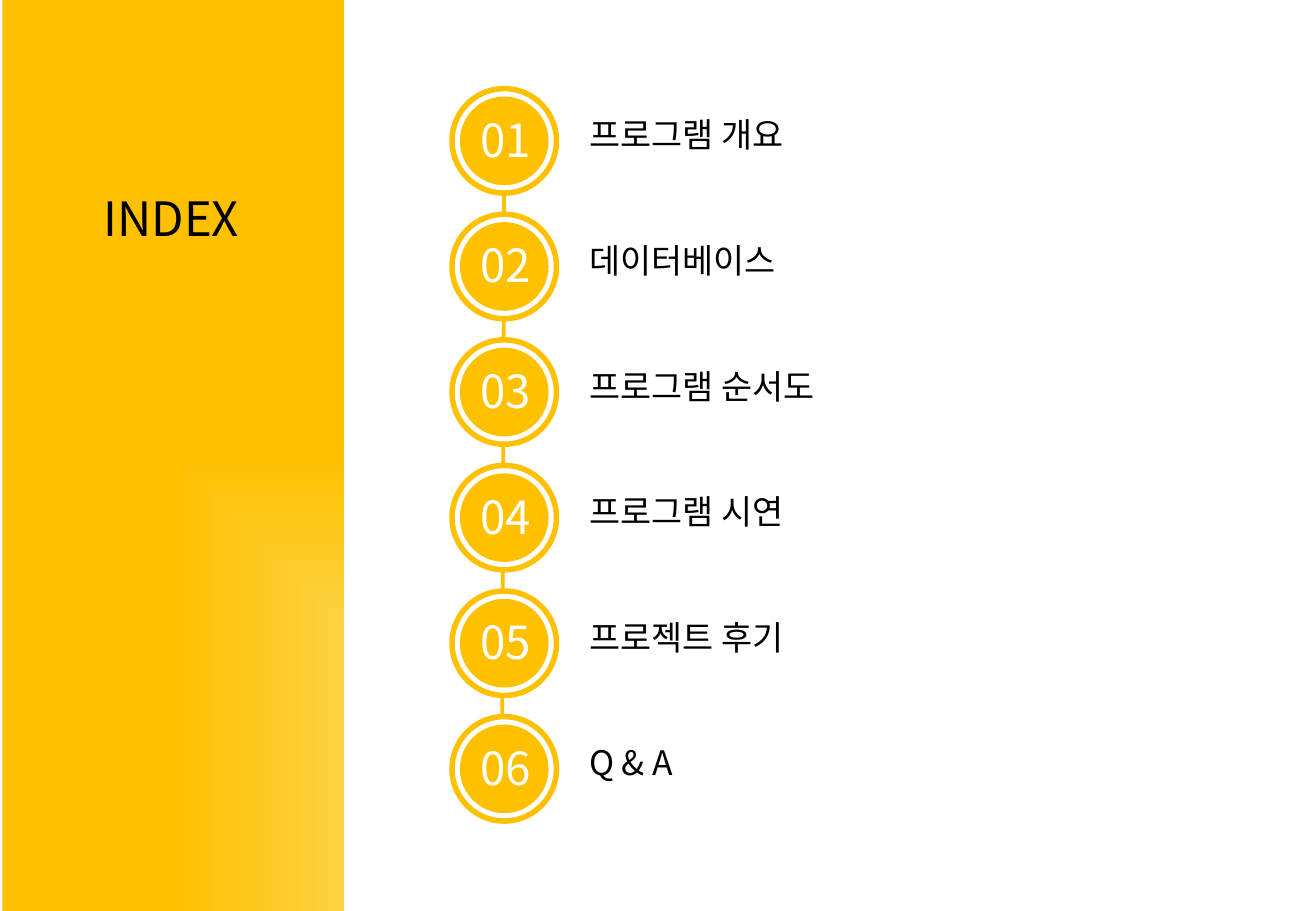
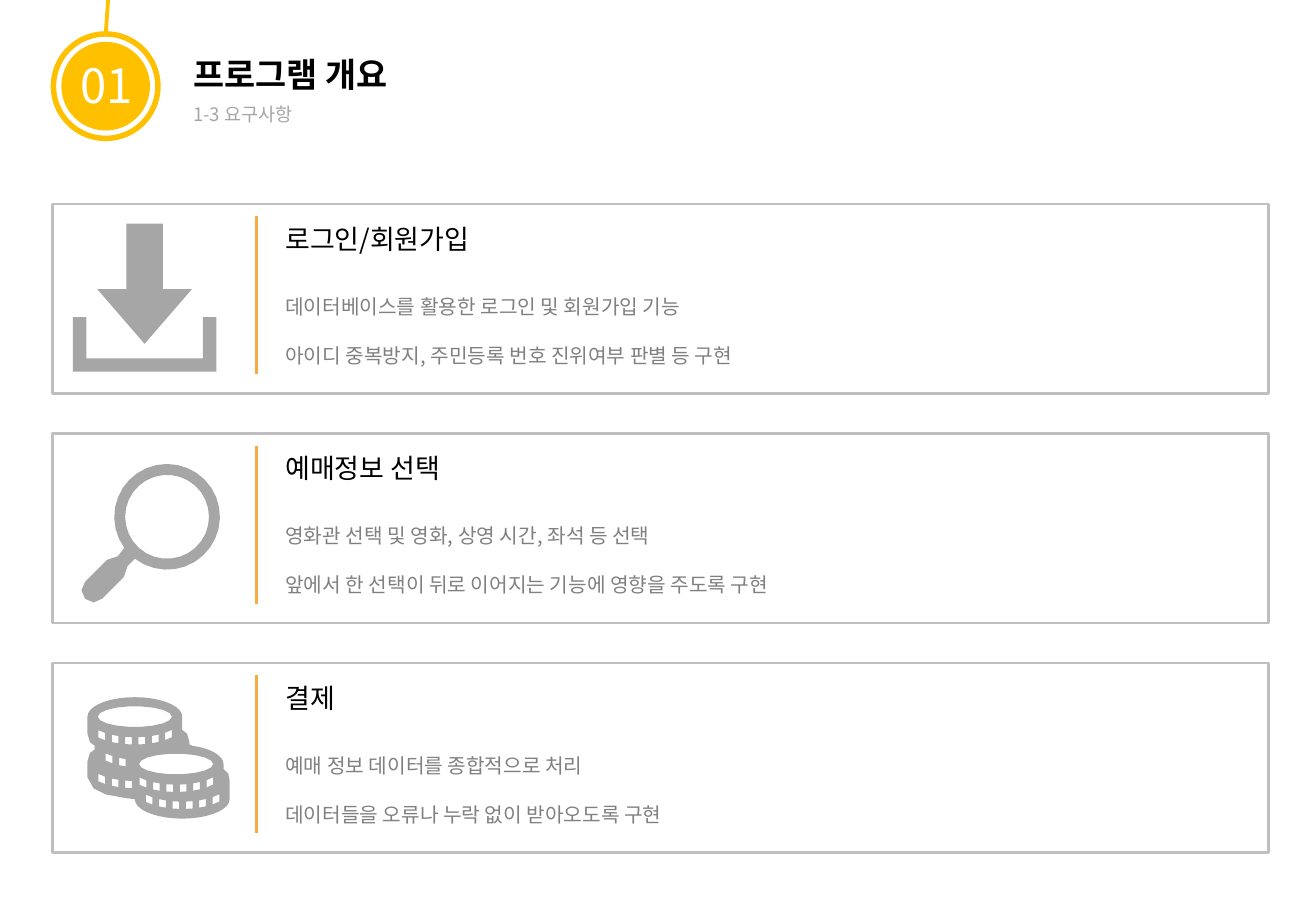
"""Builds an index slide and a requirements slide with python-pptx."""
import math
from dataclasses import dataclass

import pptx
import pptx.dml.color
import pptx.enum.shapes
import pptx.enum.text
import pptx.oxml
import pptx.oxml.ns
import pptx.util
from lxml import etree

SCALE = 9144
SHAPE = pptx.enum.shapes.MSO_SHAPE
ALIGN = pptx.enum.text.PP_ALIGN
ANCHOR = pptx.enum.text.MSO_ANCHOR
qn = pptx.oxml.ns.qn


@dataclass(frozen=True)
class Theme:
    font: str = "Noto Sans CJK KR"
    accent: str = "FFC000"
    accent_light: str = "FCD240"
    divider: str = "F9AB43"
    border: str = "BFBFBF"
    icon: str = "A6A6A6"
    detail: str = "808080"
    ink: str = "000000"
    paper: str = "FFFFFF"
    index_size: int = 28
    number_size: int = 27
    title_size: int = 20
    heading_size: int = 16
    detail_size: int = 12
    subtitle_size: int = 11


THEME = Theme()

INDEX_TITLE = "INDEX"
TOPICS = ["프로그램 개요", "데이터베이스", "프로그램 순서도", "프로그램 시연", "프로젝트 후기", "Q & A"]
SUBTITLE = "1-3 요구사항"
REQUIREMENTS = [
    ("로그인/회원가입",
     ["데이터베이스를 활용한 로그인 및 회원가입 기능",
      "아이디 중복방지, 주민등록 번호 진위여부 판별 등 구현"]),
    ("예매정보 선택",
     ["영화관 선택 및 영화, 상영 시간, 좌석 등 선택",
      "앞에서 한 선택이 뒤로 이어지는 기능에 영향을 주도록 구현"]),
    ("결제",
     ["예매 정보 데이터를 종합적으로 처리",
      "데이터들을 오류나 누락 없이 받아오도록 구현"]),
]

SLIDE_SIZE = (1083, 750)
PANEL = (2, 0, 281, 750)
RING, DISC = 86, 73
RING_LEFT, FIRST_RING, LAST_RING = 372, 73, 590
TOPIC_GAP = 50.4
CARD_LEFT, CARD_TOP, CARD_WIDTH, CARD_HEIGHT, CARD_PITCH = 43, 168, 1001, 156, 189
DETAIL_GAP = 14.7

ARROW = [(158, 238), (134, 238), (134, 184), (104, 184), (104, 238), (80, 238), (119, 283)]
TRAY = [(167, 261), (167, 295), (71, 295), (71, 261), (60, 261), (60, 306), (178, 306), (178, 261)]
LENS_CENTER, LENS_OUTER, LENS_INNER = (137.5, 425.5), 43.5, 34.5
HANDLE = [(97, 458), (88, 461), (70, 479), (67, 486), (70, 493), (77, 496), (84, 493),
          (102, 475), (105, 466), (111, 460)]
COIN_SHOULDER = [(150, 601), (154, 604), (156, 611), (156, 613)]
COIN_RIGHT = [(184, 633), (188, 637), (189, 643)]
COIN_LEFT = [(103, 657), (87, 654), (77, 649), (72, 640), (72, 627), (74, 620), (78, 617),
             (78, 614), (74, 611), (72, 604)]
COIN_HOLES = [(111, 590), (145, 629)]
COIN_SLOTS = [(72, 621, 6), (78, 640, 2), (72, 657, 3), (106, 660, 6), (111, 674, 6)]
COIN_RADIUS, COIN_CURVE = 39, 16
SLOT_PITCH, SLOT_WIDTH, SLOT_HEIGHT, SLOT_LIFT = 11, 5.5, 6, 8


def px(length):
    return pptx.util.Emu(round(length * SCALE))


def rgb(color):
    return pptx.dml.color.RGBColor.from_string(color)


def paint(shape, fill, line=None, width=0):
    shape.shadow.inherit = False
    shape.fill.solid()
    shape.fill.fore_color.rgb = rgb(fill)
    if line:
        shape.line.color.rgb = rgb(line)
        shape.line.width = pptx.util.Pt(width)
    else:
        shape.line.fill.background()
    return shape


def add_preset(slide, preset, box, fill, line=None, width=0):
    return paint(slide.shapes.add_shape(preset, *map(px, box)), fill, line, width)


def add_outline(slide, *contours):
    scaled = [[(px(x), px(y)) for x, y in contour] for contour in contours]
    builder = slide.shapes.build_freeform(*scaled[0][0])
    for index, corners in enumerate(scaled):
        if index:
            builder.move_to(*corners[0])
        builder.add_line_segments(corners[1:])
    paint(builder.convert_to_shape(), THEME.icon)


def arc(center, radius_x, radius_y, start=0, end=360, steps=18):
    angles = [math.radians(start + (end - start) * step / steps) for step in range(steps + 1)]
    return [(center[0] + radius_x * math.cos(angle), center[1] + radius_y * math.sin(angle))
            for angle in angles]


def add_line(slide, start, end, color, width):
    line = slide.shapes.add_connector(
        pptx.enum.shapes.MSO_CONNECTOR.STRAIGHT, *map(px, start + end))
    line.line.color.rgb = rgb(color)
    line.line.width = pptx.util.Pt(width)
    etree.SubElement(line.element.spPr, qn("a:effectLst"))


def write(shape, lines, size, color, align=ALIGN.LEFT, bold=False, gap=0, wrap=True,
          anchor=ANCHOR.TOP):
    frame = shape.text_frame
    frame.text = "\n".join(lines)
    frame.word_wrap = wrap
    frame.auto_size = pptx.enum.text.MSO_AUTO_SIZE.NONE
    frame.vertical_anchor = anchor
    for paragraph in frame.paragraphs:
        paragraph.alignment = align
        paragraph.space_before = pptx.util.Pt(0)
        paragraph.space_after = pptx.util.Pt(gap)
        font = paragraph.font
        font.size, font.bold, font.name = pptx.util.Pt(size), bold, THEME.font
        font.color.rgb = rgb(color)
        font._rPr.set("kern", "0")
        etree.SubElement(font._rPr, qn("a:ea"), typeface=THEME.font)


def place(shape, box):
    shape.left, shape.top, shape.width, shape.height = map(px, box)
    return shape


def fill_body(slide, box, lines, size, color, gap=0):
    body = place(slide.placeholders[1], box)
    write(body, lines, size, color, gap=gap)
    for paragraph in body.text_frame.paragraphs:
        properties = paragraph._p.get_or_add_pPr()
        properties.set("marL", "0")
        properties.set("indent", "0")
        properties.find(qn("a:defRPr")).addprevious(
            pptx.oxml.parse_xml(f'<a:buNone {pptx.oxml.ns.nsdecls("a")}/>'))


def add_badge(slide, left, top, number, size):
    inset = (RING - DISC) / 2
    add_preset(slide, SHAPE.OVAL, (left, top, RING, RING), THEME.paper, THEME.accent, 3.25)
    disc = add_preset(slide, SHAPE.OVAL, (left + inset, top + inset, DISC, DISC), THEME.accent)
    write(disc, [f"{number:02}"], size, THEME.paper, ALIGN.CENTER, wrap=False,
          anchor=ANCHOR.MIDDLE)
    frame = disc.text_frame
    frame.margin_left, frame.margin_bottom = px(2), px(3)
    frame.margin_right = frame.margin_top = 0


def add_panel(slide):
    panel = add_preset(slide, SHAPE.RECTANGLE, PANEL, THEME.accent)
    stops = "".join(f'<a:gs pos="{position}"><a:srgbClr val="{color}"/></a:gs>'
                    for position, color in ((1000, THEME.accent_light), (100000, THEME.accent)))
    gradient = pptx.oxml.parse_xml(
        f'<a:gradFill {pptx.oxml.ns.nsdecls("a")} rotWithShape="0"><a:gsLst>{stops}</a:gsLst>'
        '<a:path path="rect"><a:fillToRect l="100000" t="100000"/></a:path></a:gradFill>')
    solid = panel.element.spPr.find(qn("a:solidFill"))
    solid.getparent().replace(solid, gradient)
    slide.shapes.title.element.addprevious(panel.element)


def draw_download(slide):
    for outline in (ARROW, TRAY):
        add_outline(slide, outline)


def draw_magnifier(slide):
    rim = arc(LENS_CENTER, LENS_OUTER, LENS_OUTER, 127, -216, 30)
    add_outline(slide, rim + HANDLE, arc(LENS_CENTER, LENS_INNER, LENS_INNER, steps=30))


def coin_slot(left, bottom, index):
    start = left + 9 + SLOT_PITCH * index
    middle, lower = left + COIN_RADIUS, bottom - COIN_CURVE - SLOT_LIFT
    base = [(x, lower + COIN_CURVE * math.sqrt(1 - ((x - middle) / COIN_RADIUS) ** 2))
            for x in (start, start + SLOT_WIDTH)]
    return base + [(x, y - SLOT_HEIGHT) for x, y in reversed(base)]


def draw_coins(slide):
    back, front = COIN_HOLES
    curve = (COIN_RADIUS, COIN_CURVE)
    silhouette = (arc(back, *curve, 180, 360) + COIN_SHOULDER + arc(front, *curve, -70, 0, 8)
                  + COIN_RIGHT + arc((150, 658), *curve, 0, 180) + COIN_LEFT)
    holes = [arc(center, 30.5, 8.5) for center in COIN_HOLES]
    slots = [coin_slot(left, bottom, index)
             for left, bottom, count in COIN_SLOTS for index in range(count)]
    add_outline(slide, silhouette, *holes, *slots)


def add_card(slide, top, heading, details):
    add_preset(slide, SHAPE.RECTANGLE, (CARD_LEFT, top, CARD_WIDTH, CARD_HEIGHT),
               THEME.paper, THEME.border, 1.5)
    add_line(slide, (211, top + 10), (211, top + 140), THEME.divider, 1.5)
    texts = [((225, top + 10, 260, 37), [heading], THEME.heading_size, THEME.ink, 0),
             ((225, top + 69, 787, 71), details, THEME.detail_size, THEME.detail, DETAIL_GAP)]
    for box, lines, size, color, gap in texts:
        write(slide.shapes.add_textbox(*map(px, box)), lines, size, color, gap=gap)


def build_index(slide):
    add_panel(slide)
    write(place(slide.shapes.title, (57, 151, 168, 57)), [INDEX_TITLE],
          THEME.index_size, THEME.ink, ALIGN.CENTER)
    fill_body(slide, (475, 89, 226, 561), TOPICS, THEME.title_size, THEME.ink, TOPIC_GAP)
    add_line(slide, (413, 670), (415, 124), THEME.accent, 2.25)
    pitch = (LAST_RING - FIRST_RING) / (len(TOPICS) - 1)
    for index in range(len(TOPICS)):
        add_badge(slide, RING_LEFT, FIRST_RING + pitch * index, index + 1, THEME.number_size)


def build_requirements(slide):
    write(place(slide.shapes.title, (149, 39, 194, 44)), [TOPICS[0]],
          THEME.title_size, THEME.ink, bold=True, wrap=False)
    fill_body(slide, (149, 80, 552, 29), [SUBTITLE], THEME.subtitle_size, THEME.icon)
    add_line(slide, (87, 28), (89, 0), THEME.accent, 2.25)
    add_badge(slide, 44, 28, 1, THEME.index_size)
    icons = [draw_download, draw_magnifier, draw_coins]
    for index, ((heading, details), draw_icon) in enumerate(zip(REQUIREMENTS, icons)):
        add_card(slide, CARD_TOP + CARD_PITCH * index, heading, details)
        draw_icon(slide)


def main():
    deck = pptx.Presentation()
    deck.slide_width, deck.slide_height = map(px, SLIDE_SIZE)
    for build in (build_index, build_requirements):
        build(deck.slides.add_slide(deck.slide_layouts[1]))
    deck.save("out.pptx")


if __name__ == "__main__":
    main()
